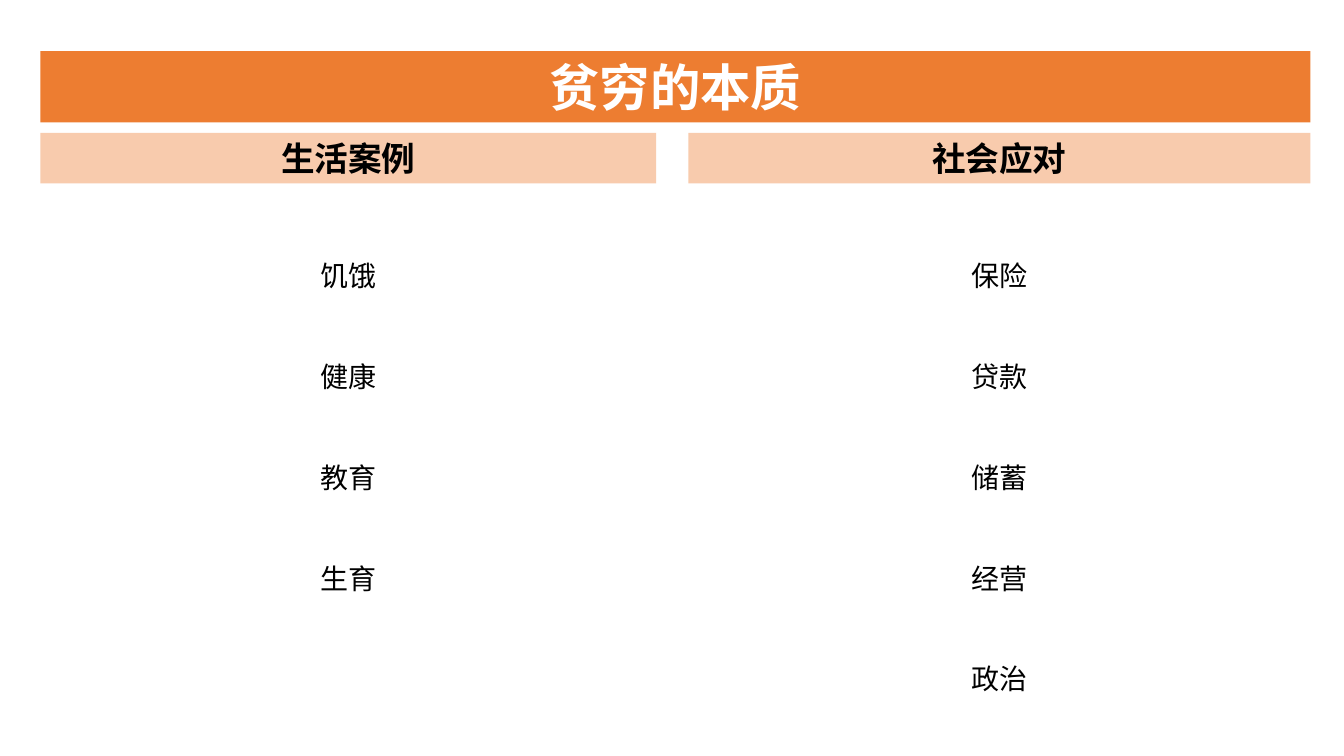
"""Build a slide on the nature of poverty: a title band over two topic columns."""
import pptx
import pptx.dml.color
import pptx.enum.shapes
import pptx.enum.text
import pptx.oxml
import pptx.oxml.ns
import pptx.util

Pt = pptx.util.Pt
RGB = pptx.dml.color.RGBColor.from_string
THEME = {
    "font": "Noto Sans CJK SC",
    "band": "ED7D31", "header": "F8CBAD", "light": "FFFFFF", "dark": "000000",
    "title_size": 36, "header_size": 24, "item_size": 20,
}
LEFT, RIGHT = 28.8, 936
ITEM_PITCH = 72


def style_text(tf, size, color, bold=False):
    tf.word_wrap = True
    for p in tf.paragraphs:
        p.alignment = pptx.enum.text.PP_ALIGN.CENTER
        for r in p.runs:
            r.font.size = Pt(size)
            r.font.bold = bold
            r.font.color.rgb = RGB(THEME[color])
            r.font.name = THEME["font"]
            ea = pptx.oxml.parse_xml(f'<a:ea {pptx.oxml.ns.nsdecls("a")}/>')
            ea.set("typeface", THEME["font"])
            r.font._element.append(ea)


def add_band(text, left, top, width, height, fill, size, color):
    sp = s.shapes.add_shape(pptx.enum.shapes.MSO_SHAPE.RECTANGLE,
                            Pt(left), Pt(top), Pt(width), Pt(height))
    sp.shadow.inherit = False
    sp.fill.solid()
    sp.fill.fore_color.rgb = RGB(THEME[fill])
    sp.line.fill.background()
    tf = sp.text_frame
    tf.text = text
    tf.vertical_anchor = pptx.enum.text.MSO_ANCHOR.MIDDLE
    style_text(tf, size, color, bold=True)


prs = pptx.Presentation()
prs.slide_width, prs.slide_height = Pt(960), Pt(540)
s = prs.slides.add_slide(prs.slide_layouts[6])

add_band("贫穷的本质", LEFT, 36.5, RIGHT - LEFT, 51,
         "band", THEME["title_size"], "light")

columns = [
    ("生活案例", LEFT, 440, ["饥饿", "健康", "教育", "生育"]),
    ("社会应对", 491.6, RIGHT - 491.6, ["保险", "贷款", "储蓄", "经营", "政治"]),
]
for header, left, width, items in columns:
    add_band(header, left, 95, width, 36, "header", THEME["header_size"], "dark")
    sp = s.shapes.add_textbox(Pt(left), Pt(131.8), Pt(width),
                              Pt(ITEM_PITCH * len(items)))
    tf = sp.text_frame
    tf.text = "\n".join(items)
    tf.margin_top = Pt(5)
    for p in tf.paragraphs:
        p.line_spacing = Pt(ITEM_PITCH)
    style_text(tf, THEME["item_size"], "dark")

prs.save("out.pptx")
